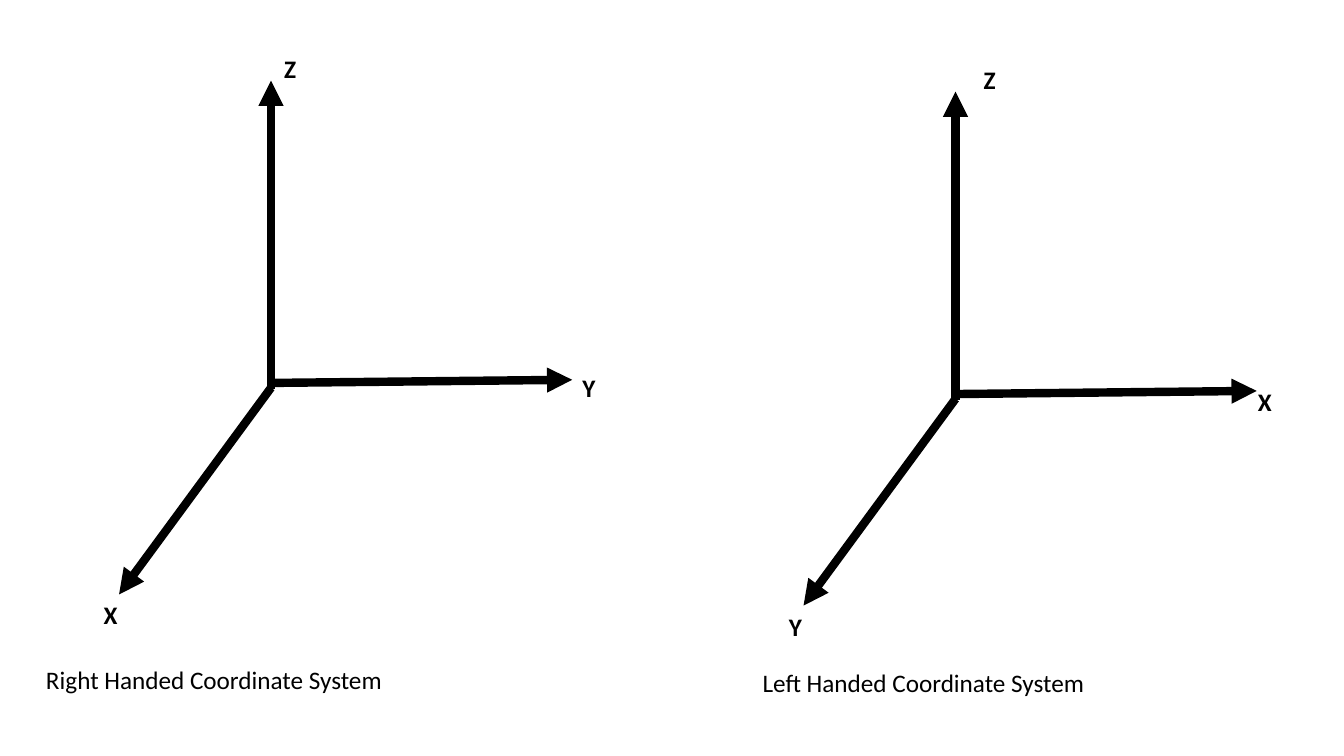
from dataclasses import dataclass

from lxml.etree import SubElement
from pptx import Presentation
from pptx.dml.color import RGBColor
from pptx.enum.shapes import MSO_CONNECTOR
from pptx.oxml.ns import qn
from pptx.shapes.shapetree import GroupShapes
from pptx.util import Cm, Pt

BLACK = RGBColor(0x00, 0x00, 0x00)
FONT = "Calibri"
TEXT_HEIGHT = 1.63
LETTER_WIDTH = 1.3

# Start and end of each axis in cm, measured from the origin of its system
AXES = [
    ((0, 0), (0, -7.77)),
    ((-0.08, -0.15), (7.59, -0.23)),
    ((0, -0.03), (-3.83, 5.18)),
]


@dataclass(frozen=True)
class Label:
    """A line of text and the top left corner of its box, in cm."""
    text: str
    left: float
    top: float
    width: float = LETTER_WIDTH
    bold: bool = True


@dataclass(frozen=True)
class CoordinateSystem:
    """Three axes that meet at an origin in cm, with their labels."""
    origin: tuple[float, float]
    labels: tuple[Label, ...]


SYSTEMS = [
    CoordinateSystem((6.83, 9.8), (
        Label("X", 2.36, 14.99),
        Label("Y", 14.43, 9.25),
        Label("Z", 6.91, 1.22),
        Label("Right Handed Coordinate System", 0.91, 16.61, 13.54, False),
    )),
    CoordinateSystem((24.08, 10.08), (
        Label("Y", 19.63, 15.27),
        Label("X", 31.45, 9.6),
        Label("Z", 24.54, 1.5),
        Label("Left Handed Coordinate System", 18.97, 16.69, 13, False),
    )),
]


def add_axis(shapes: GroupShapes, origin: tuple[float, float],
             start: tuple[float, float], end: tuple[float, float]) -> None:
    """Draw one thick axis with an arrowhead at its end."""
    points = [Cm(o + d) for point in (start, end) for o, d in zip(origin, point)]
    axis = shapes.add_connector(MSO_CONNECTOR.STRAIGHT, *points)
    axis.line.color.rgb = BLACK
    axis.line.width = Pt(6)
    SubElement(axis.line._get_or_add_ln(), qn("a:tailEnd"), type="triangle")
    SubElement(axis._element.spPr, qn("a:effectLst"))


def add_label(shapes: GroupShapes, label: Label) -> None:
    """Place an axis letter or a caption."""
    box = shapes.add_textbox(Cm(label.left), Cm(label.top),
                             Cm(label.width), Cm(TEXT_HEIGHT))
    tf = box.text_frame
    tf.word_wrap = True
    p = tf.paragraphs[0]
    p.text = label.text
    p.font.name = FONT
    p.font.size = Pt(18)
    p.font.bold = label.bold
    p.font.color.rgb = BLACK


def add_system(shapes: GroupShapes, system: CoordinateSystem) -> None:
    """Draw the axes and labels of one coordinate system."""
    for start, end in AXES:
        add_axis(shapes, system.origin, start, end)
    for label in system.labels:
        add_label(shapes, label)


prs = Presentation()
prs.slide_width, prs.slide_height = Cm(33.87), Cm(19.05)
slide = prs.slides.add_slide(prs.slide_layouts[6])
for system in SYSTEMS:
    add_system(slide.shapes.add_group_shape().shapes, system)
prs.save("out.pptx")
